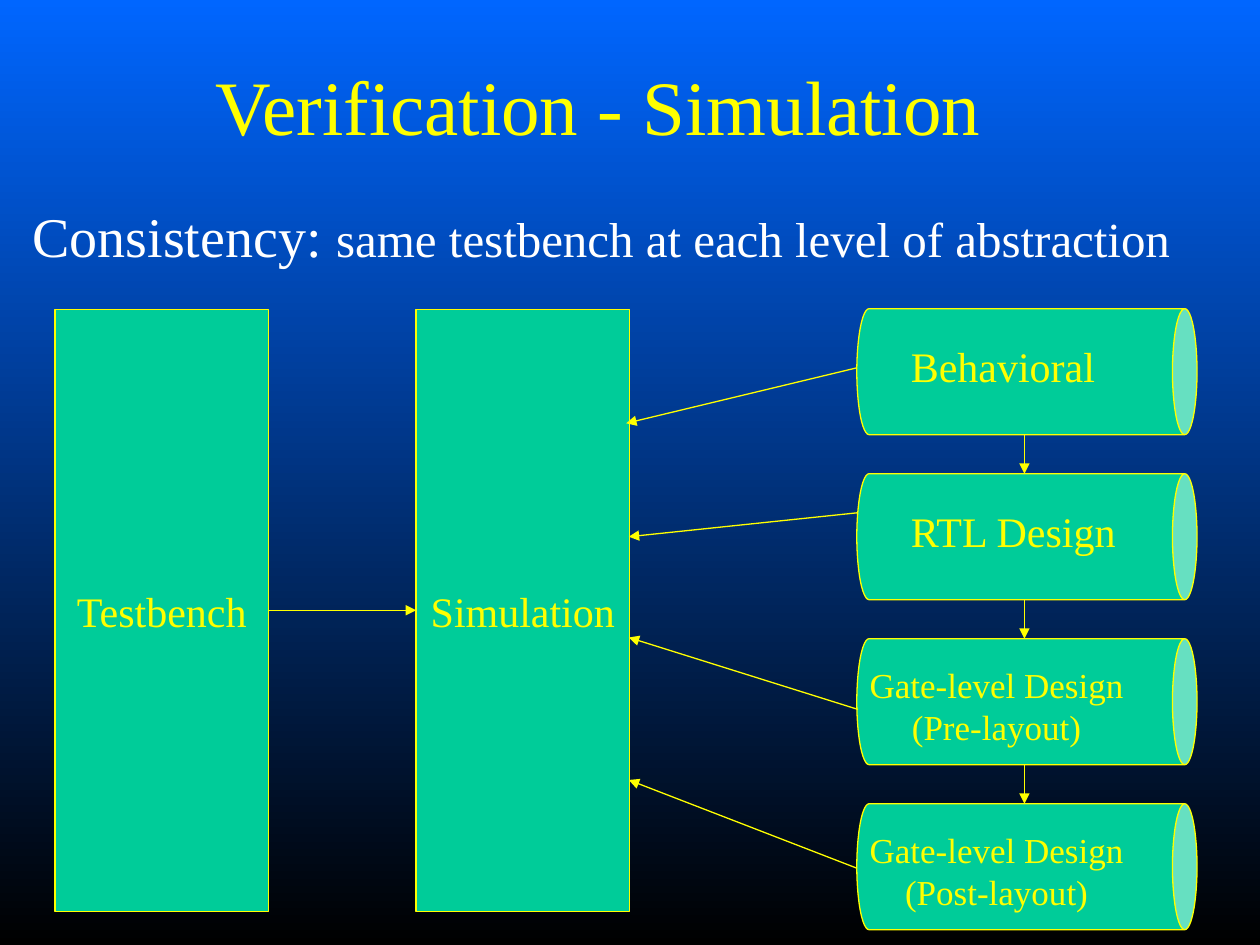
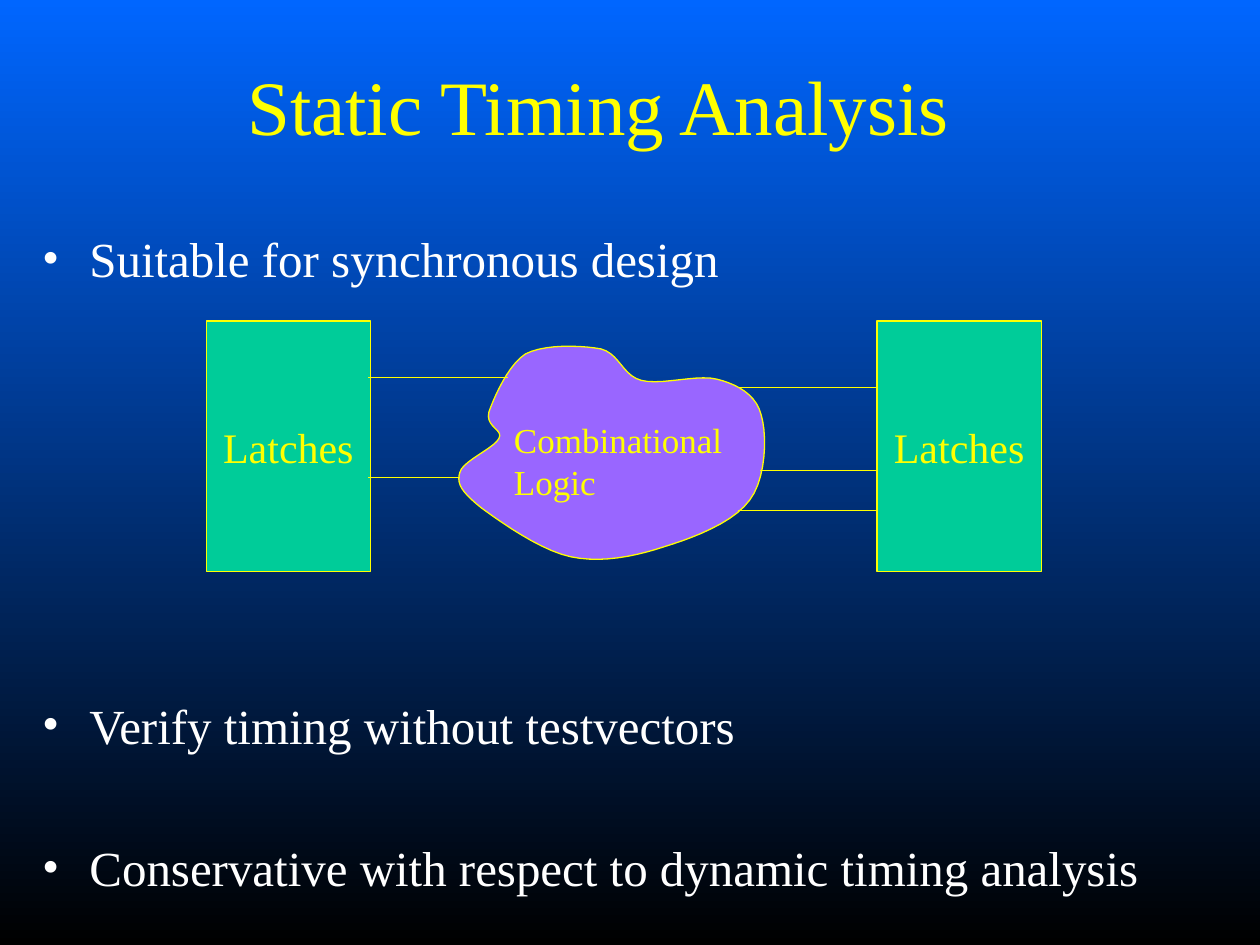
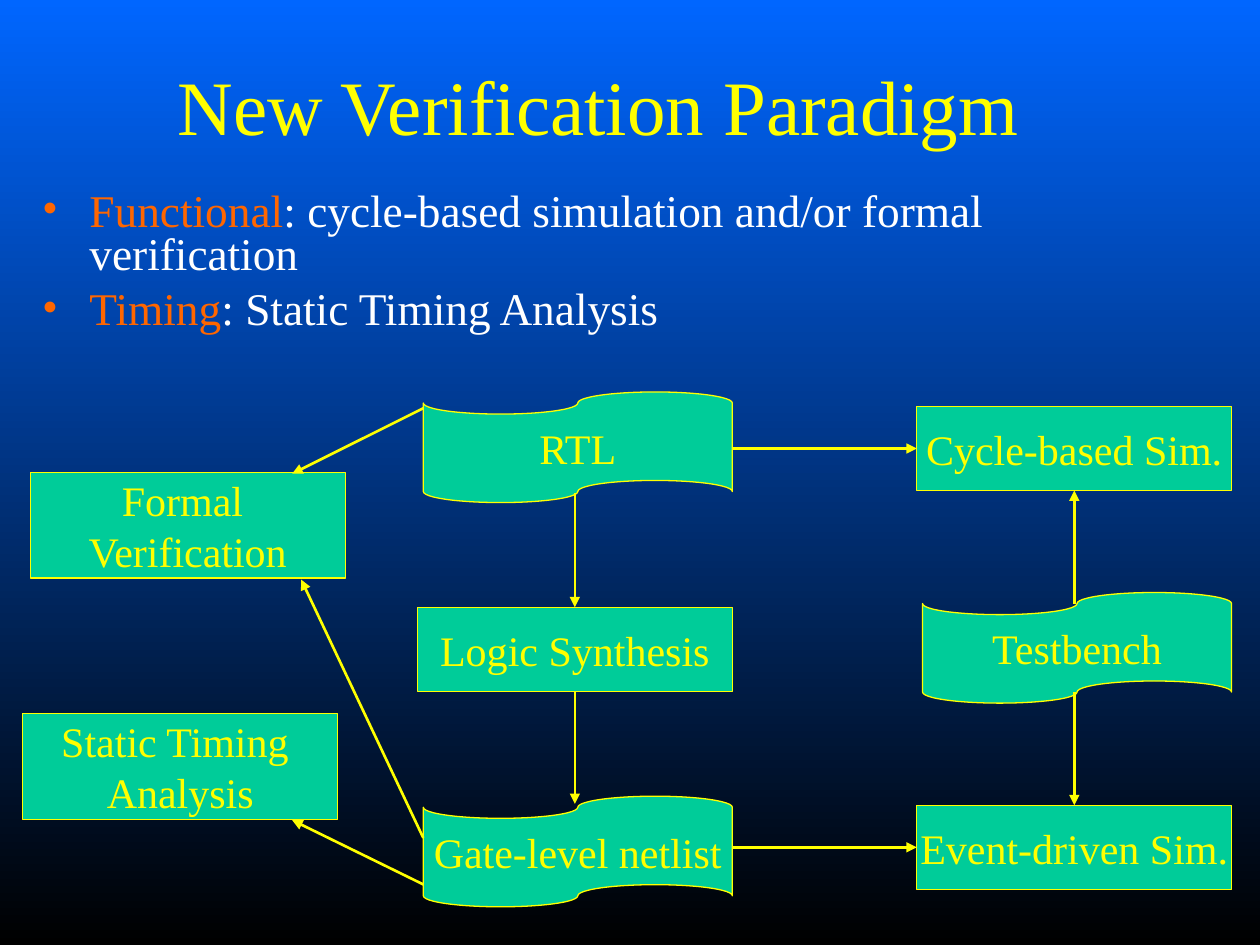
import lxml.etree
import pptx
import pptx.dml.color
import pptx.enum.shapes
import pptx.enum.text
import pptx.oxml.ns
import pptx.util

Pt = pptx.util.Pt
RGB = pptx.dml.color.RGBColor.from_string
qn = pptx.oxml.ns.qn
SubElement = lxml.etree.SubElement
KIND = pptx.enum.shapes.MSO_SHAPE
ALIGN = pptx.enum.text.PP_ALIGN
ANCHOR = pptx.enum.text.MSO_ANCHOR

FONT = "Times New Roman"
COLORS = {
    "sky": "0066FF", "night": "000000", "yellow": "FFFF00", "white": "FFFFFF",
    "green": "00CC99", "violet": "9966FF", "orange": "FF6600",
}


def box(s, kind, at, paras=(), size=24, color="yellow", align=ALIGN.CENTER,
        wrap=False, bullet=None):
    """Add a text box (kind None) or a filled shape; a paragraph is a string or a list of runs."""
    at = [Pt(v) for v in at]
    if kind is None:
        sp = s.shapes.add_textbox(*at)
    else:
        sp = s.shapes.add_shape(kind, *at)
        sp.shadow.inherit = False
        sp.fill.solid()
        sp.fill.fore_color.rgb = RGB(COLORS["green"])
        sp.line.color.rgb = RGB(COLORS["yellow"])
        sp.line.width = Pt(0.75)
    tf = sp.text_frame
    frame = {"word_wrap": wrap, "vertical_anchor": ANCHOR.MIDDLE if kind else ANCHOR.TOP}
    for name, value in frame.items():
        setattr(tf, name, value)
    for i, para in enumerate(paras):
        p = tf.add_paragraph() if i else tf.paragraphs[0]
        p.alignment = align
        if bullet:
            pPr = p._p.get_or_add_pPr()
            pPr.set("marL", str(Pt(27)))
            pPr.set("indent", str(-Pt(27)))
            SubElement(SubElement(pPr, qn("a:buClr")), qn("a:srgbClr"), val=COLORS[bullet])
            SubElement(pPr, qn("a:buFont"), typeface=FONT)
            SubElement(pPr, qn("a:buChar"), char="•")
        runs = [(para, size, color)] if isinstance(para, str) else para
        for text, run_size, run_color in runs:
            r = p.add_run()
            r.text = text
            r.font.color.rgb = RGB(COLORS[run_color])
            for name, value in {"name": FONT, "size": Pt(run_size)}.items():
                setattr(r.font, name, value)
    return sp


def line(s, start, end, width=0.75, arrow=True, begin_at=None, end_at=None):
    """Add a straight line; begin_at and end_at are (shape, site) joins."""
    c = s.shapes.add_connector(pptx.enum.shapes.MSO_CONNECTOR.STRAIGHT,
                               *[Pt(v) for v in start + end])
    c.line.color.rgb = RGB(COLORS["yellow"])
    c.line.width = Pt(width)
    if arrow:
        SubElement(c.line._get_or_add_ln(), qn("a:tailEnd"), type="triangle")
    SubElement(c._element.spPr, qn("a:effectLst"))
    if begin_at:
        c.begin_connect(*begin_at)
    if end_at:
        c.end_connect(*end_at)


prs = pptx.Presentation()
prs.slide_width, prs.slide_height = Pt(720), Pt(540)

# Shared background
fill = prs.slide_master.background.fill
fill.gradient()
fill.gradient_angle = 270
for stop, name, position in zip(fill.gradient_stops, ("sky", "night"), (0, 1)):
    stop.color.rgb = RGB(COLORS[name])
    stop.position = position

# Slides with their titles
slides = []
for title in ("Verification - Simulation", "Static Timing Analysis", "New Verification Paradigm"):
    s = prs.slides.add_slide(prs.slide_layouts[6])
    sp = box(s, None, (17, 18, 650, 84), [title], size=44, wrap=True)
    sp.text_frame.vertical_anchor = ANCHOR.MIDDLE
    slides.append(s)

# Slide 1: one testbench for every level of abstraction
s = slides[0]
box(s, None, (11.5, 111.6, 688, 46),
    [[("Consistency: ", 32, "white"),
      ("same testbench at each level of abstraction", 28, "white")]],
    align=ALIGN.LEFT, wrap=True)

testbench, simulation = [
    box(s, KIND.RECTANGLE, (x, 176.7, 122, 344), [label])
    for x, label in ((31.5, "Testbench"), (237.8, "Simulation"))]
line(s, (153.5, 348.7), (237.8, 348.7), begin_at=(testbench, 3), end_at=(simulation, 1))

PITCH = 94.3
levels = [  # label, label place, arrow start, arrow end
    (["Behavioral"], (513.4, 190.8, 130, 36), (489.6, 210.2), (357.8, 241.9)),
    (["RTL Design"], (513.4, 190.8, 145, 36), (490.3, 293), (359.3, 306.7)),
    (["Gate-level Design", "(Pre-layout)"], (479.5, 187.2, 180, 55.4), (490.3, 405.4), (359.3, 364.3)),
    (["Gate-level Design", "(Post-layout)"], (479.5, 187.2, 180, 55.4), (489.6, 496.1), (359.3, 445.7)),
]
for i, (label, (x, y, w, h), start, end) in enumerate(levels):
    drop = i * PITCH
    can = box(s, KIND.CAN, (550.8, 115.2 + drop, 72, 194.4))
    can.rotation = 90
    can.adjustments[0] = 0.195
    box(s, None, (x, y + drop, w, h), label, size=24 if len(label) == 1 else 20,
        align=ALIGN.LEFT if len(label) == 1 else ALIGN.CENTER, wrap=True)
    line(s, start, end)
    if i:
        line(s, (585.4, 154.2 + drop), (585.4, 176.4 + drop))

# Slide 2: bullets
s = slides[1]
sp = box(s, None, (17, 127, 650, 392),
         ["Suitable for synchronous design",
          "Verify timing without testvectors",
          "Conservative with respect to dynamic timing analysis"],
         size=28, color="white", align=ALIGN.LEFT, wrap=True, bullet="white")
for p, gap in zip(sp.text_frame.paragraphs[1:], (233, 48)):
    p.space_before = Pt(gap)

# Latches on both sides of the logic
for x in (117.9, 501.2):
    box(s, KIND.RECTANGLE, (x, 183.5, 93.8, 143.2), ["Latches"])

# Cloud of logic: each curve is two control points and an end point
cloud_start = (279.4, 235.4)
cloud_curves = [
    ((282.2, 227.5), (290.2, 208.8), (300.2, 202.3)),
    ((311, 196.6), (331.9, 197.3), (343.4, 199.4)),
    ((354.2, 202.3), (355.7, 214.6), (366.5, 217.4)),
    ((378, 220.3), (398.2, 213.8), (409.7, 216.7)),
    ((421.2, 219.6), (432, 225.4), (434.9, 236.9)),
    ((438.5, 248.4), (437.8, 273.6), (428.4, 285.8)),
    ((419, 298.8), (396, 307.4), (379.4, 312.5)),
    ((362.2, 318.2), (343.4, 321.8), (326.2, 318.2)),
    ((308.9, 314.6), (285.8, 298.1), (275, 290.2)),
    ((264.2, 281.5), (260.6, 276.5), (262.8, 270)),
    ((264.2, 263.5), (282.2, 256.3), (285.1, 250.6)),
    ((288, 245.5), (277.2, 244.1), cloud_start),
]
STEPS = 10
outline, a = [], cloud_start
for b, c, d in cloud_curves:
    for t in [n / STEPS for n in range(1, STEPS + 1)]:
        u = 1 - t
        outline.append([Pt(u**3 * a[k] + 3 * u * u * t * b[k] + 3 * u * t * t * c[k] + t**3 * d[k])
                        for k in (0, 1)])
    a = d
builder = s.shapes.build_freeform(Pt(cloud_start[0]), Pt(cloud_start[1]))
builder.add_line_segments(outline, close=True)
cloud = builder.convert_to_shape()
cloud.shadow.inherit = False
cloud.fill.solid()
cloud.fill.fore_color.rgb = RGB(COLORS["violet"])
cloud.line.color.rgb = RGB(COLORS["yellow"])
cloud.line.width = Pt(0.75)
box(s, None, (286.6, 235.4, 146, 55.4), ["Combinational", "Logic"], size=20,
    align=ALIGN.LEFT, wrap=True)

# Wires
for x1, x2, y in ((210.5, 290.2, 215.8), (210.5, 262.8, 272.7), (422, 501.2, 221.3),
                  (434.5, 501.2, 268.8), (422, 501.2, 291.6)):
    line(s, (x1, y), (x2, y), arrow=False)

# Slide 3: bullets
s = slides[2]
sp = box(s, None, (17, 106.4, 650, 92),
         [[("Functional", 25.9, "orange"),
           (": cycle-based simulation and/or formal verification", 25.9, "white")],
          [("Timing", 25.9, "orange"), (": Static Timing Analysis", 25.9, "white")]],
         align=ALIGN.LEFT, wrap=True, bullet="orange")
for p in sp.text_frame.paragraphs:
    p.line_spacing = 0.8
sp.text_frame.paragraphs[1].space_before = Pt(6.3)

# Design data
for x, y, label in ((241.9, 455, "Gate-level netlist"), (241.9, 224, "RTL"),
                    (527.2, 338.6, "Testbench")):
    box(s, KIND.FLOWCHART_PUNCHED_TAPE, (x, y, 176.6, 63.2), [label])

# Tools
synthesis, cycle, event, static, formal = [
    box(s, KIND.RECTANGLE, (x, y, 180, h), label)
    for x, y, h, label in (
        (238.5, 347, 48, ["Logic Synthesis"]),
        (523.9, 232.3, 48, ["Cycle-based Sim."]),
        (523.9, 460.2, 48, ["Event-driven Sim."]),
        (13, 407.7, 60.5, ["Static Timing ", "Analysis"]),
        (17.3, 269.9, 60.5, ["Formal ", "Verification"]))]

# Flow between data and tools
flows = [  # start, end, joins
    ((328.5, 282), (328.5, 347), {"end_at": (synthesis, 0)}),
    ((328.5, 395), (328.5, 459.4), {"begin_at": (synthesis, 2)}),
    ((613.9, 395.3), (613.9, 460.2), {"end_at": (event, 0)}),
    ((613.9, 345), (613.9, 280.3), {"end_at": (cycle, 2)}),
    ((418.5, 256.3), (523.9, 256.3), {"end_at": (cycle, 1)}),
    ((418.5, 484.2), (523.9, 484.2), {"end_at": (event, 1)}),
    ((241.9, 505.4), (167, 468.7), {}),
    ((241.9, 478.8), (172.1, 331.2), {}),
    ((241.9, 233.3), (167, 270.7), {}),
]
for start, end, joins in flows:
    line(s, start, end, width=1.5, **joins)

prs.save("out.pptx")
